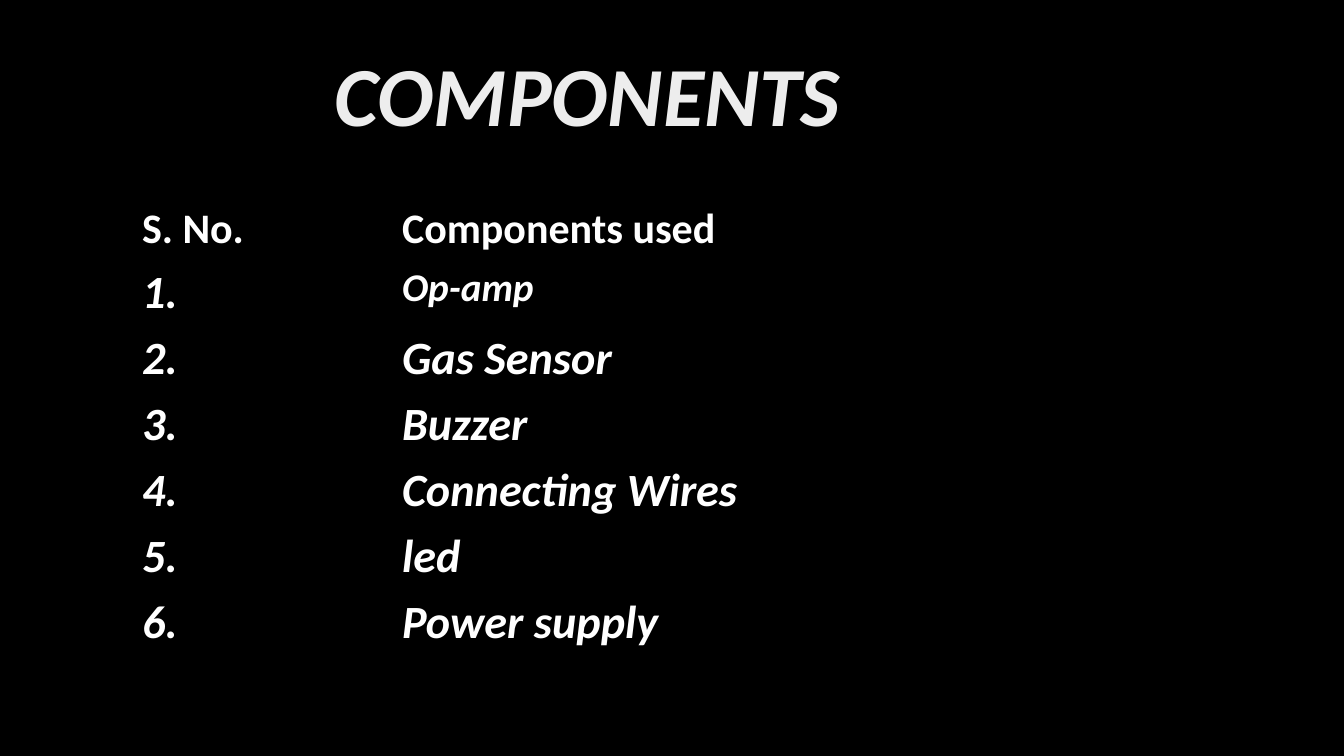
from lxml.etree import SubElement
from pptx import Presentation
from pptx.dml.color import RGBColor
from pptx.oxml.ns import qn
from pptx.util import Emu, Inches, Pt

TITLE = "COMPONENTS"
HEADER = ("S. No.", "Components used")
COMPONENTS = ["Op-amp", "Gas Sensor", "Buzzer", "Connecting Wires", "led", "Power supply"]

COLORS = {"background": "000000", "border": "000000", "title": "EDEDED", "text": "FFFFFF"}
FONT = "Calibri"
TITLE_SIZE, HEADER_SIZE, BODY_SIZE, PART_NUMBER_SIZE = 60, 30, 33, 28

PX = 9071  # EMU per px
SLIDE_SIZE = (1344, 756)
TITLE_BOX = (325, 38, 671, 112)
TABLE_LEFT, TABLE_TOP = 132, 199
COLUMN_WIDTHS = (260, 665)
HEADER_HEIGHT, ROW_HEIGHT = 61, 66


def px(value):
    return Emu(value * PX)


def style_run(run, size, color, italic):
    font = run.font
    font.name, font.size = FONT, Pt(size)
    font.bold, font.italic = True, italic
    font.color.rgb = RGBColor.from_string(COLORS[color])


def add_borders(cell):
    properties = cell._tc.get_or_add_tcPr()
    for side in ("lnL", "lnR", "lnT", "lnB"):
        line = SubElement(properties, qn(f"a:{side}"), w=str(Pt(1)))
        fill = SubElement(line, qn("a:solidFill"))
        SubElement(fill, qn("a:srgbClr"), val=COLORS["border"])


def fill_cell(cell, text, size, italic):
    add_borders(cell)
    cell.fill.background()
    cell.margin_left = cell.margin_right = Inches(0.1)
    cell.margin_top, cell.margin_bottom = Inches(0.01), 0
    paragraph = cell.text_frame.paragraphs[0]
    paragraph.text = text
    paragraph.line_spacing = 1.07
    paragraph.space_after = Pt(8)
    style_run(paragraph.runs[0], size, "text", italic)


def add_components_table(slide):
    rows = [HEADER] + [(f"{number}.", name) for number, name in enumerate(COMPONENTS, 1)]
    heights = [HEADER_HEIGHT] + [ROW_HEIGHT] * len(COMPONENTS)
    table = slide.shapes.add_table(
        len(rows), len(HEADER), px(TABLE_LEFT), px(TABLE_TOP),
        px(sum(COLUMN_WIDTHS)), px(sum(heights))).table
    table.first_row = table.horz_banding = False
    for column, width in zip(table.columns, COLUMN_WIDTHS):
        column.width = px(width)
    for row_index, (texts, height) in enumerate(zip(rows, heights)):
        table.rows[row_index].height = px(height)
        for column_index, text in enumerate(texts):
            size = HEADER_SIZE if row_index == 0 else BODY_SIZE
            if text == COMPONENTS[0]:
                size = PART_NUMBER_SIZE
            fill_cell(table.cell(row_index, column_index), text, size, italic=row_index > 0)


def add_title(slide):
    text_frame = slide.shapes.add_textbox(*map(px, TITLE_BOX)).text_frame
    text_frame.word_wrap = True
    text_frame.text = TITLE
    style_run(text_frame.paragraphs[0].runs[0], TITLE_SIZE, "title", italic=True)


def main():
    presentation = Presentation()
    presentation.slide_width, presentation.slide_height = map(px, SLIDE_SIZE)
    slide = presentation.slides.add_slide(presentation.slide_layouts[6])
    slide.background.fill.solid()
    slide.background.fill.fore_color.rgb = RGBColor.from_string(COLORS["background"])
    add_components_table(slide)
    add_title(slide)
    presentation.save("out.pptx")


if __name__ == "__main__":
    main()
